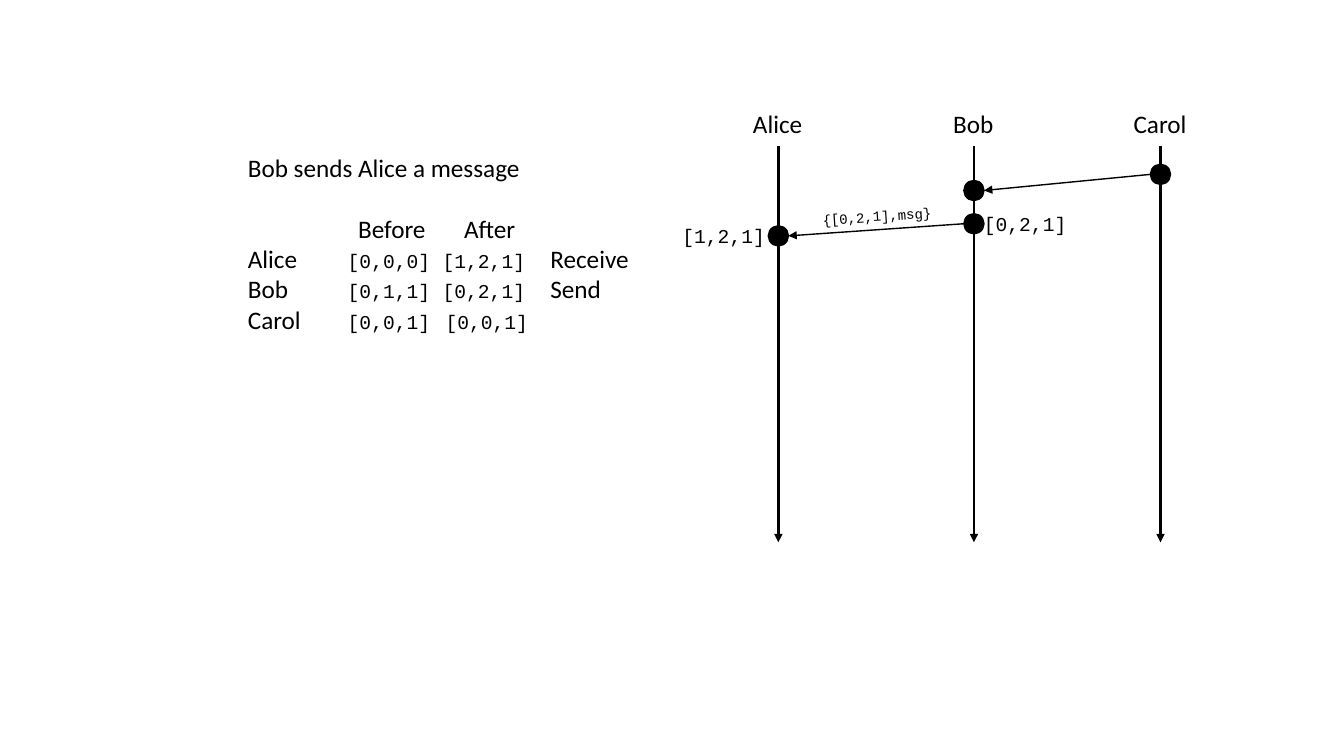
from lxml import etree
from pptx import Presentation
from pptx.dml.color import RGBColor
from pptx.enum.shapes import MSO_CONNECTOR, MSO_SHAPE
from pptx.enum.text import MSO_AUTO_SIZE
from pptx.oxml.ns import qn
from pptx.util import Inches, Pt

STRAIGHT = MSO_CONNECTOR.STRAIGHT
OVAL = MSO_SHAPE.OVAL
GROW = MSO_AUTO_SIZE.SHAPE_TO_FIT_TEXT

COLORS = {"ink": "000000"}
INK = RGBColor.from_string(COLORS["ink"])
SANS, MONO = "Calibri", "Courier New"

TITLE = "Bob sends Alice a message"
# Each line of the clock table is a list of (text, font, size) spans.
CLOCK_ROWS = [
    [("\t Before\t After", SANS, 18)],
    [("Alice", SANS, 18), ("\t[0,0,0]\t[1,2,1]", MONO, 14), (" \tReceive", SANS, 18)],
    [("Bob", SANS, 18), ("\t[0,1,1]\t[0,2,1]", MONO, 14), (" \tSend", SANS, 18)],
    [("Carol", SANS, 18), ("\t[0,0,1]\t[0,0,1]", MONO, 14)],
]
CLOCK_TABS = [1.4, 2.37]

# Offsets in inches from the corner of the diagram.
LIFELINES = {"Alice": (1.05, 0.7), "Bob": (2.99, 0.61), "Carol": (4.84, 0.73)}
LINE_TOP = 0.42
EVENT_SIZE = 0.2
MESSAGES = [(("Carol", 0.7), ("Bob", 0.86)), (("Bob", 1.19), ("Alice", 1.31))]
CLOCK_LABELS = [
    ("[1,2,1]", 0, 1.14, 1.02, 0.34, 14, 0),
    ("{[0,2,1],msg}", 1.39, 0.98, 1.3, 0.27, 10, -3.8),
    ("[0,2,1]", 2.99, 1.02, 1.02, 0.34, 14, 0),
]


def add_span(para, text, font, size):
    span = para.add_run()
    span.text = text
    span.font.name = font
    span.font.size = Pt(size)
    span.font.color.rgb = INK


def set_tabs(para, stops):
    """Give the paragraph centred tab stops, in inches."""
    tab_list = etree.SubElement(para._p.get_or_add_pPr(), qn("a:tabLst"))
    for stop in stops:
        etree.SubElement(tab_list, qn("a:tab"), pos=str(Inches(stop)), algn="ctr")


def add_text_box(page, left, top, width, height, wrap):
    box = page.shapes.add_textbox(Inches(left), Inches(top), Inches(width), Inches(height))
    box.text_frame.word_wrap = wrap
    box.text_frame.auto_size = GROW
    return box


def add_label(page, text, left, top, width, height, font, size, angle=0):
    box = add_text_box(page, left, top, width, height, wrap=False)
    box.rotation = angle
    add_span(box.text_frame.paragraphs[0], text, font, size)


def add_arrow(page, start, end, weight):
    arrow = page.shapes.add_connector(STRAIGHT, *map(Inches, start + end))
    arrow.line.color.rgb = INK
    arrow.line.width = Pt(weight)
    etree.SubElement(arrow.line._get_or_add_ln(), qn("a:tailEnd"), type="triangle")
    etree.SubElement(arrow._element.spPr, qn("a:effectLst"))


def add_event(page, x, y):
    """Draw an event dot centred on a point."""
    half = EVENT_SIZE / 2
    dot = page.shapes.add_shape(
        OVAL, Inches(x - half), Inches(y - half), Inches(EVENT_SIZE), Inches(EVENT_SIZE))
    dot.shadow.inherit = False
    dot.fill.solid()
    dot.fill.fore_color.rgb = INK
    dot.line.color.rgb = INK
    dot.line.width = Pt(1)


def add_clock_table(page, left, top, width, height):
    frame = add_text_box(page, left, top, width, height, wrap=True).text_frame
    heading = frame.paragraphs[0]
    add_span(heading, TITLE, SANS, 18)
    heading.space_after = Pt(22)
    for row in CLOCK_ROWS:
        para = frame.add_paragraph()
        set_tabs(para, CLOCK_TABS)
        for text, font, size in row:
            add_span(para, text, font, size)


def add_sequence_diagram(page, left, top, height):
    for name, (offset, width) in LIFELINES.items():
        x = left + offset
        add_label(page, name, x - width / 2, top, width, 0.4, SANS, 18)
        add_arrow(page, (x, top + LINE_TOP), (x, top + height), 2)

    half = EVENT_SIZE / 2
    for message in MESSAGES:
        (start_x, start_y), (end_x, end_y) = [
            (left + LIFELINES[name][0], top + drop) for name, drop in message]
        add_arrow(page, (start_x - half, start_y), (end_x + half, end_y), 1)
        add_event(page, start_x, start_y)
        add_event(page, end_x, end_y)

    for text, x, y, width, label_height, size, angle in CLOCK_LABELS:
        add_label(page, text, left + x, top + y, width, label_height, MONO, size, angle)


def main():
    deck = Presentation()
    deck.slide_width, deck.slide_height = Inches(13.33), Inches(7.5)
    page = deck.slides.add_slide(deck.slide_layouts[6])
    add_clock_table(page, 2.36, 1.46, 4.72, 1.92)
    add_sequence_diagram(page, 6.67, 1.03, 4.35)
    deck.save("out.pptx")


if __name__ == "__main__":
    main()
